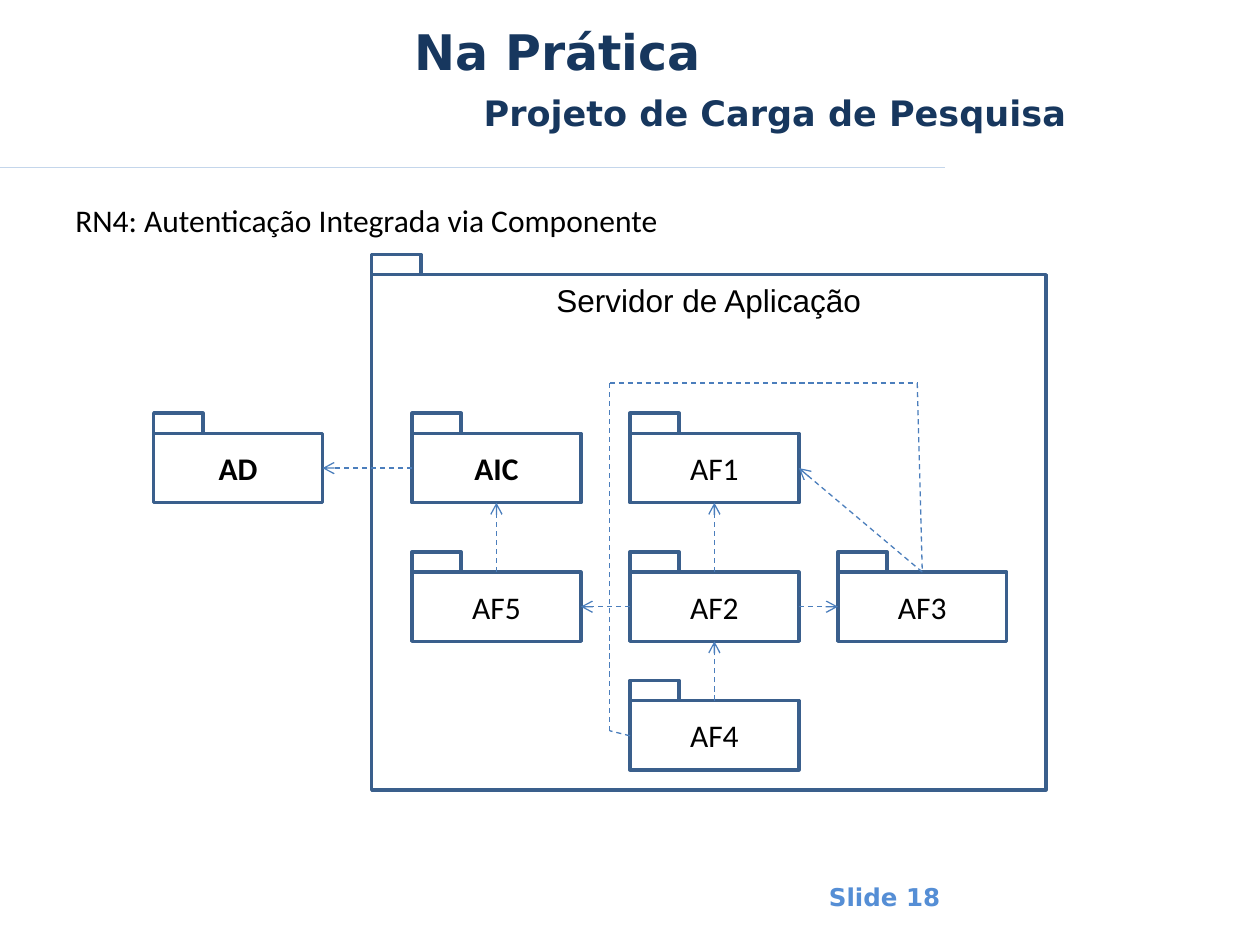
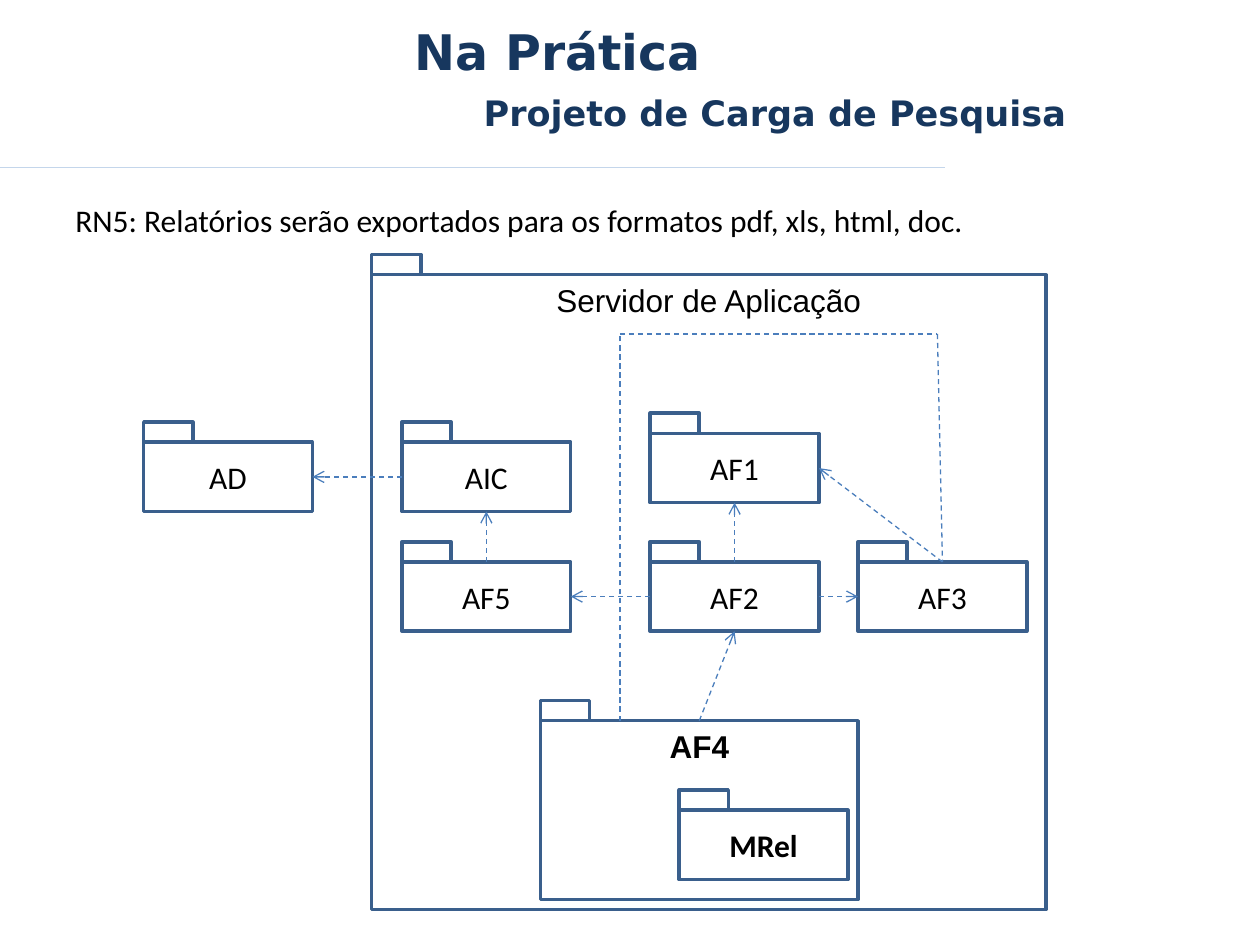
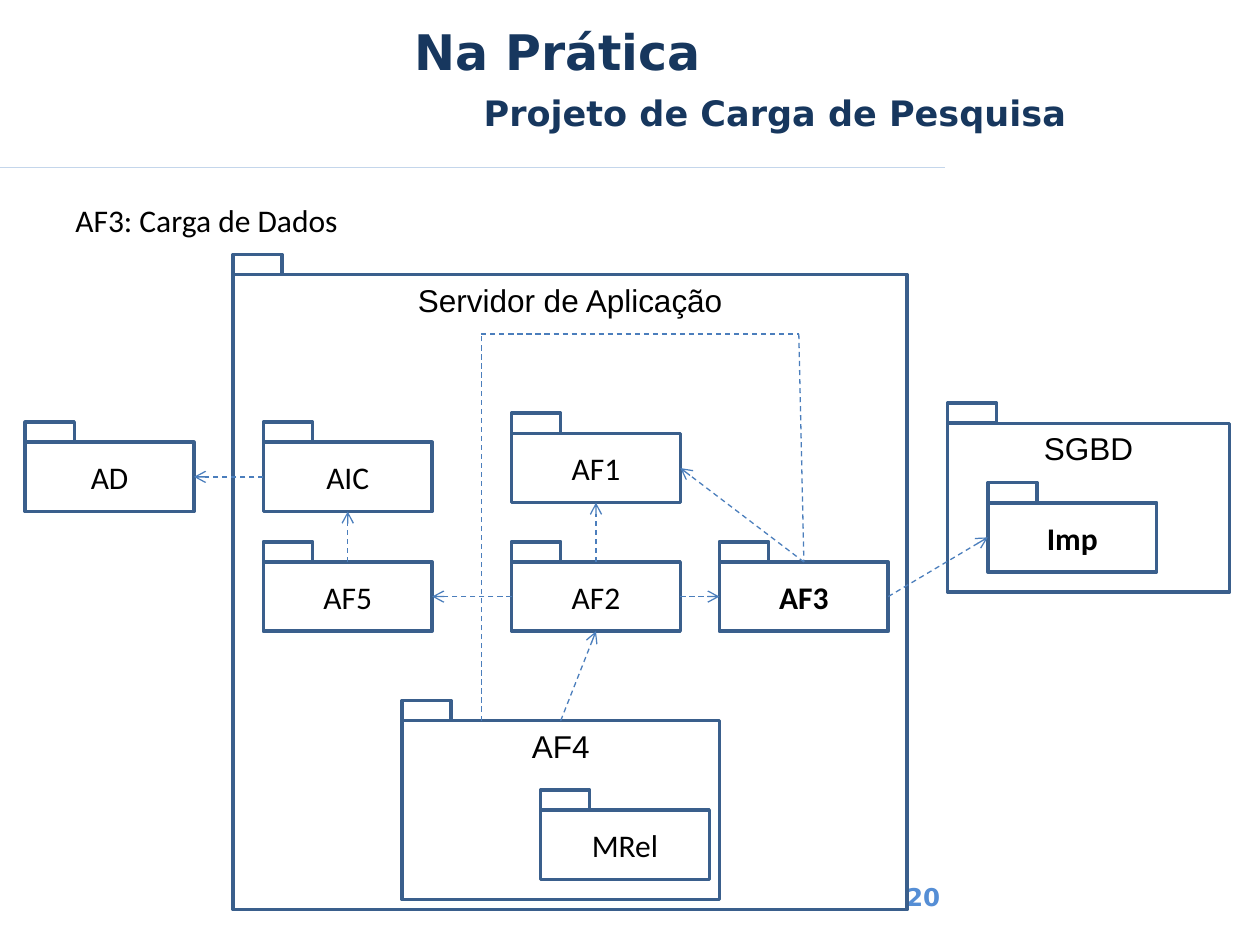
from itertools import pairwise

from lxml import etree
from pptx import Presentation
from pptx.dml.color import RGBColor
from pptx.enum.dml import MSO_LINE
from pptx.enum.shapes import MSO_CONNECTOR, MSO_SHAPE
from pptx.enum.text import MSO_ANCHOR as Anchor, MSO_AUTO_SIZE, PP_ALIGN as Align
from pptx.oxml.ns import qn
from pptx.util import Inches, Pt

# Shared look
COLORS = {"title": "17375E", "rule": "C4D6EB", "number": "558ED5", "text": "000000",
          "outline": "3A5F8C", "link": "4B7EBC", "paper": "FFFFFF"}
HEAD_FONT, FRAME_FONT, BODY_FONT = "DejaVu Sans", "Arial", "Calibri"
TITLE, SUBTITLE = "Na Prática", "Projeto de Carga de Pesquisa"
FIRST_NUMBER = 18
MODULE_SIZE = (1.34, 0.55)
TAB_SIZE = (0.39, 0.16)
SITES = {"top": 0, "left": 1, "bottom": 2, "right": 3}

# Content: frames are (label, left, top, width, height), modules are name: (left, top)
SERVER = "Servidor de Aplicação"
LINKS = [("AF2", "top", "AF1", "bottom"), ("AF2", "right", "AF3", "left"),
         ("AF4", "top", "AF2", "bottom"), ("AF2", "left", "AF5", "right"),
         ("AF5", "top", "AIC", "bottom"), ("AIC", "left", "AD", "right"),
         ("AF3", "top", "AF1", "right")]
REPORT_FRAMES = [(SERVER, 2.95, 2.18, 5.35, 5.04), ("AF4", 4.29, 5.72, 2.52, 1.42)]
REPORT_MODULES = {"AF5": (3.19, 4.46), "AF3": (6.81, 4.46), "AF2": (5.16, 4.46),
                  "AF1": (5.16, 3.44), "AIC": (3.19, 3.51), "AD": (1.14, 3.51),
                  "MRel": (5.39, 6.43)}
REPORT_DETOUR = [(4.92, 5.72), (4.92, 2.65), (7.44, 2.65), (7.48, 4.46)]
SHIFT = -1.1  # the last diagram moves left to make room for the database


def shifted(points):
    return [(left + SHIFT, top) for left, top in points]


DIAGRAMS = [
    {"caption": "RN4: Autenticação Integrada via Componente",
     "bold": {"AIC", "AD"},
     "frames": [(SERVER, 2.95, 2.18, 5.35, 4.09)],
     "modules": {"AF5": (3.27, 4.54), "AF4": (5, 5.56), "AF3": (6.65, 4.54),
                 "AF2": (5, 4.54), "AF1": (5, 3.44), "AIC": (3.27, 3.44),
                 "AD": (1.22, 3.44)},
     "links": LINKS,
     "detour": [(5, 5.84), (4.84, 5.8), (4.84, 3.04), (7.28, 3.04), (7.32, 4.54)]},
    {"caption": "RN5: Relatórios serão exportados para os formatos pdf, xls, html, doc.",
     "bold": {"AF4", "MRel"},
     "frames": REPORT_FRAMES,
     "modules": REPORT_MODULES,
     "links": LINKS,
     "detour": REPORT_DETOUR},
    {"caption": "AF3: Carga de Dados",
     "bold": {"AF3", "Imp"},
     "frames": [(label, left + SHIFT, *rest) for label, left, *rest in REPORT_FRAMES]
     + [("SGBD", 7.52, 3.36, 2.24, 1.34)],
     "modules": dict(zip(REPORT_MODULES, shifted(REPORT_MODULES.values())))
     | {"AD": (0.2, 3.51), "Imp": (7.84, 3.99)},
     "links": LINKS + [("AF3", "right", "Imp", "left")],
     "detour": shifted(REPORT_DETOUR)},
]


def color(name):
    return RGBColor.from_string(COLORS[name])


def place(box, *bounds):
    box.left, box.top, box.width, box.height = map(Inches, bounds)


def write(box, text, font=BODY_FONT, size=18, ink="text", bold=False,
          align=Align.LEFT, anchor=Anchor.TOP, indent=0):
    frame = box.text_frame
    frame.word_wrap = True
    frame.auto_size = MSO_AUTO_SIZE.NONE
    frame.vertical_anchor = anchor
    para = frame.paragraphs[0]
    para.alignment = align
    if indent:
        para.level = 1
        para._p.get_or_add_pPr().set("marL", str(Inches(indent)))
    span = para.add_run()
    span.text = text
    span.font.name, span.font.size, span.font.bold = font, Pt(size), bold
    span.font.color.rgb = color(ink)


def add_text(page, bounds, text, **style):
    write(page.shapes.add_textbox(*map(Inches, bounds)), text, **style)


def add_line(page, start=(0, 0), end=(0, 0), ink="link", dashed=True, arrow=False):
    line = page.shapes.add_connector(MSO_CONNECTOR.STRAIGHT, *map(Inches, (*start, *end)))
    line.line.color.rgb = color(ink)
    line.line.width = Pt(0.75)
    if dashed:
        line.line.dash_style = MSO_LINE.DASH
    if arrow:
        etree.SubElement(line.line._get_or_add_ln(), qn("a:tailEnd"), type="arrow")
    etree.SubElement(line._element.spPr, qn("a:effectLst"))
    return line


def add_package(shapes, left, top, width, height):
    """Draw a body with its tab on the top left edge; return the body."""
    tab_width, tab_height = TAB_SIZE
    parts = []
    for bounds in ((left, top, width, height),
                   (left, top - tab_height, tab_width, tab_height)):
        box = shapes.add_shape(MSO_SHAPE.RECTANGLE, *map(Inches, bounds))
        box.shadow.inherit = False
        box.fill.solid()
        box.fill.fore_color.rgb = color("paper")
        box.line.color.rgb = color("outline")
        box.line.width = Pt(2)
        parts.append(box)
    return parts[0]


def add_header(page, number):
    add_line(page, (0, 1.33), (7.5, 1.33), ink="rule", dashed=False)
    add_text(page, (6.48, 6.95, 1.41, 0.34), f"Slide {number}",
             font=HEAD_FONT, size=14, ink="number", bold=True)
    place(page.shapes.title, 3.19, 0.13, 6.69, 0.55)
    write(page.shapes.title, TITLE, font=HEAD_FONT, size=28, ink="title", bold=True,
          anchor=Anchor.MIDDLE)
    add_text(page, (3.74, 0.68, 6.06, 0.63), SUBTITLE,
             font=HEAD_FONT, size=20, ink="title", bold=True)


def add_diagram(page, caption, bold, frames, modules, links, detour):
    add_text(page, (0, 1.55, 10, 0.4), caption, indent=0.5)
    bodies = {}
    # Frames with their labels
    for label, left, top, width, height in frames:
        bodies[label] = add_package(page.shapes, left, top, width, height)
        add_text(page, (left, top, width, 0.4), label, font=FRAME_FONT,
                 bold=label in bold, align=Align.CENTER)
    # Modules
    for name, (left, top) in modules.items():
        group = page.shapes.add_group_shape()
        bodies[name] = add_package(group.shapes, left, top, *MODULE_SIZE)
        write(bodies[name], name, bold=name in bold,
              align=Align.CENTER, anchor=Anchor.MIDDLE)
    # Dependencies, and the path from AF4 around to AF3
    for source, source_side, target, target_side in links:
        line = add_line(page, arrow=True)
        line.begin_connect(bodies[source], SITES[source_side])
        line.end_connect(bodies[target], SITES[target_side])
    for start, end in pairwise(detour):
        add_line(page, start, end)


deck = Presentation()
deck.slide_width, deck.slide_height = Inches(10), Inches(7.5)
for number, diagram in enumerate(DIAGRAMS, FIRST_NUMBER):
    page = deck.slides.add_slide(deck.slide_layouts[5])
    add_header(page, number)
    add_diagram(page, **diagram)
deck.save("out.pptx")
